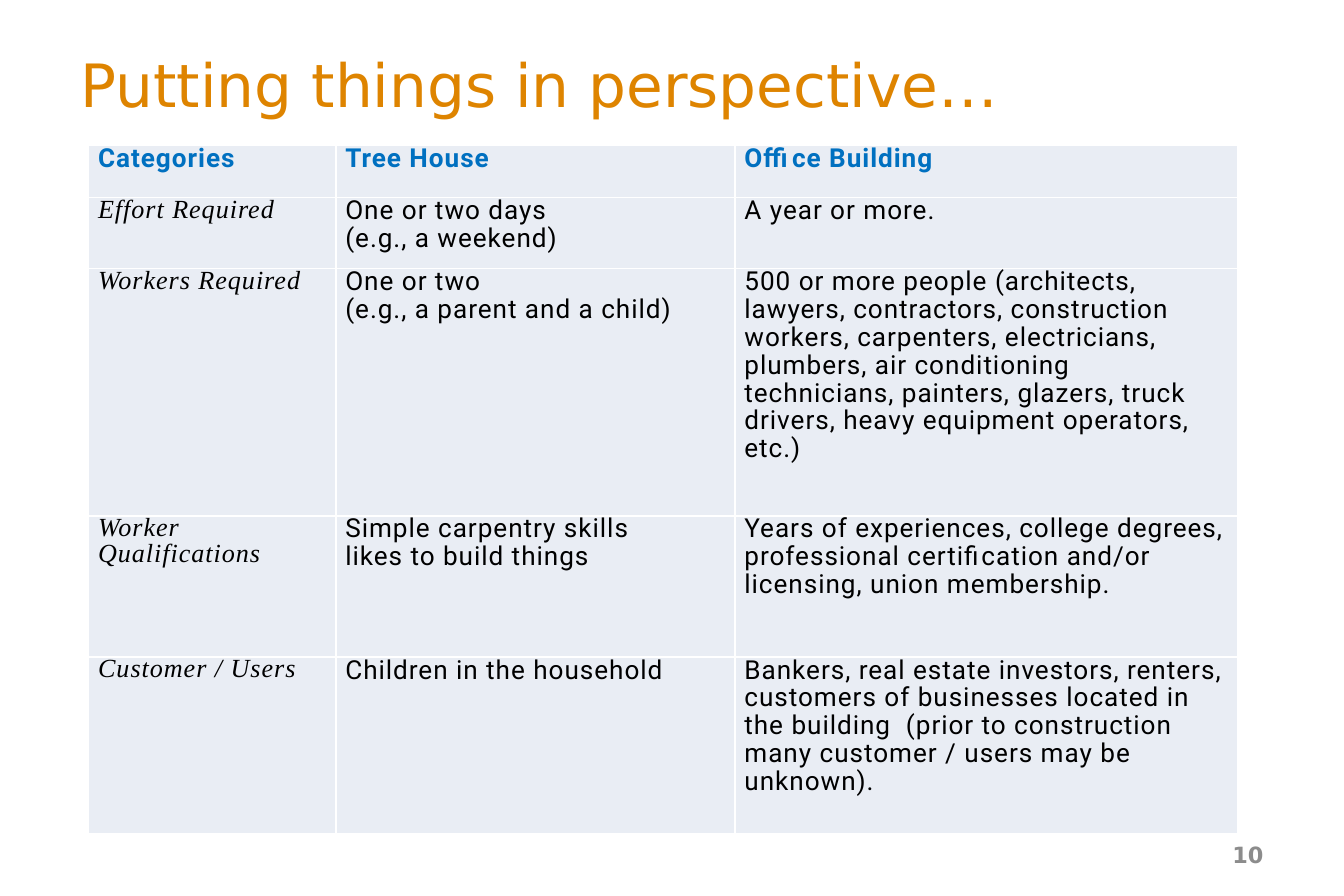
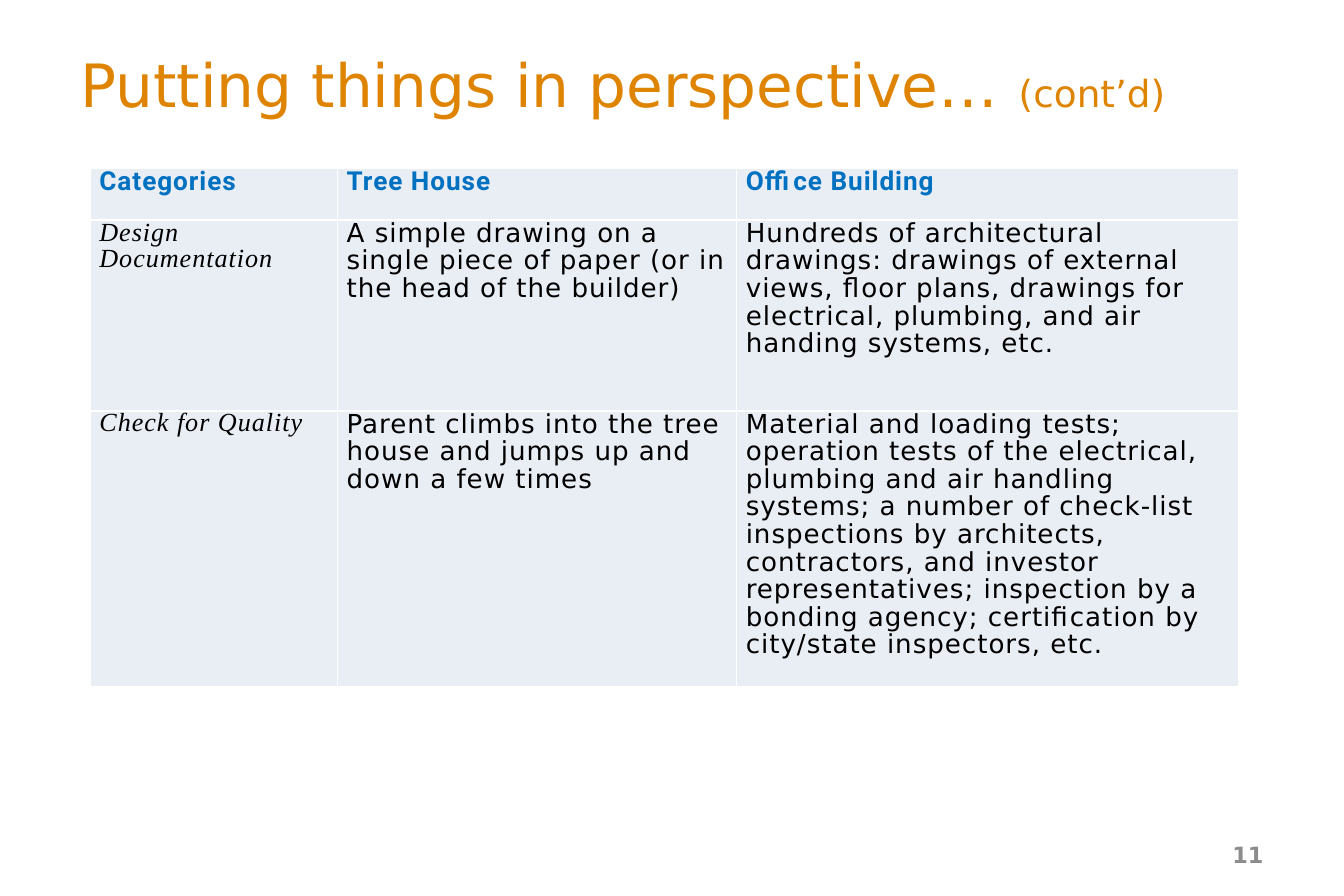
import copy

import lxml.etree
import pptx
import pptx.dml.color
import pptx.enum.text
import pptx.oxml
import pptx.oxml.ns
import pptx.util

Inches = pptx.util.Inches
Align = pptx.enum.text.PP_ALIGN
Anchor = pptx.enum.text.MSO_ANCHOR

# Content: a list in a cell holds paragraphs, a newline is a line break
HEADINGS = ("Categories", "Tree House", "Office Building")
TITLE = "Putting things in perspective…"
SLIDES = [
    {
        "number": "10", "suffix": "", "left": 0.66, "top": 1.08, "body_font": "Roboto",
        "heights": (0.39, 0.53, 1.84, 1.05, 1.32),
        "rows": [
            ("Effort Required", "One or two days \n(e.g., a weekend)", "A year or more."),
            ("Workers Required", "One or two \n(e.g., a parent and a child) ",
             "500 or more people (architects, lawyers, contractors, construction workers, "
             "carpenters, electricians, plumbers, air conditioning technicians, painters, "
             "glazers, truck drivers, heavy equipment operators, etc.)"),
            ("Worker Qualifications", ["Simple carpentry skills", "likes to build things"],
             "Years of experiences, college degrees, professional certification and/or "
             "licensing, union membership."),
            ("Customer / Users", "Children in the household",
             "Bankers, real estate investors, renters, customers of businesses located in "
             "the building  (prior to construction many customer / users may be unknown)."),
        ],
    },
    {
        "number": "11", "suffix": "(cont’d)", "left": 0.67, "top": 1.25,
        "body_font": "DejaVu Sans", "heights": (0.39, 1.42, 2.05),
        "rows": [
            ("Design Documentation",
             "A simple drawing on a single piece of paper (or in the head of the builder)",
             "Hundreds of architectural drawings: drawings of external views, floor plans, "
             "drawings for electrical, plumbing, and air handing systems, etc."),
            ("Check for Quality",
             "Parent climbs into the tree house and jumps up and down a few times",
             "Material and loading tests; operation tests of the electrical, plumbing and "
             "air handling systems; a number of check-list inspections by architects, "
             "contractors, and investor representatives; inspection by a bonding agency; "
             "certification by city/state inspectors, etc."),
        ],
    },
]

# Shared look
COLORS = {"title": "DE8400", "number": "8C8C8C", "heading": "0070C0",
          "text": "000000", "cell": "E9EDF4", "border": "FFFFFF"}
COLUMNS = (1.84, 2.97, 3.74)
SANS = "DejaVu Sans"


def rgb(name):
    return pptx.dml.color.RGBColor.from_string(COLORS[name])


def write(para, text, *, size, color, font=SANS, bold=False, italic=False,
          align=Align.LEFT, line=None, spacing=0):
    """Append formatted text to a paragraph, newlines becoming line breaks."""
    para.alignment = align
    if line:
        para.line_spacing = line
    for index, part in enumerate(text.split("\n")):
        if index:
            para.add_line_break()
            line_break = para._p[-1]
        span = para.add_run()
        span.text = part
        span.font.name = font
        span.font.size = pptx.util.Pt(size)
        span.font.bold = bold
        span.font.italic = italic
        span.font.color.rgb = rgb(color)
        properties = span._r.get_or_add_rPr()
        if spacing:
            properties.set("spc", str(int(spacing * 100)))
        if index:
            line_break.append(copy.deepcopy(properties))


def add_borders(cell):
    properties = cell._tc.get_or_add_tcPr()
    for index, side in enumerate(("lnL", "lnR", "lnT", "lnB")):
        properties.insert(index, pptx.oxml.parse_xml(
            f'<a:{side} {pptx.oxml.ns.nsdecls("a")} w="12700"><a:solidFill>'
            f'<a:srgbClr val="{COLORS["border"]}"/></a:solidFill></a:{side}>'))


def fill_cell(cell, content, **style):
    cell.margin_left = cell.margin_right = Inches(0.07)
    cell.margin_top = cell.margin_bottom = 0
    cell.fill.solid()
    cell.fill.fore_color.rgb = rgb("cell")
    add_borders(cell)
    paragraphs = content if isinstance(content, list) else [content]
    for index, text in enumerate(paragraphs):
        para = cell.text_frame.add_paragraph() if index else cell.text_frame.paragraphs[0]
        write(para, text, size=14, line=0.9, spacing=0.5, **style)


def add_title(page, suffix):
    title = page.shapes.title
    title.left, title.top, title.width, title.height = map(Inches, (0.5, 0.27, 9, 0.7))
    title.text_frame.vertical_anchor = Anchor.MIDDLE
    para = title.text_frame.paragraphs[0]
    write(para, TITLE + (" " if suffix else ""), size=32, color="title")
    if suffix:
        write(para, suffix, size=20, color="title")


def add_number(page, number):
    box = page.shapes.add_textbox(*map(Inches, (7.17, 6.18, 2.33, 0.36)))
    box.text_frame.word_wrap = True
    box.text_frame.vertical_anchor = Anchor.MIDDLE
    write(box.text_frame.paragraphs[0], number, size=12, color="number",
          bold=True, align=Align.RIGHT)


def add_comparison(page, content):
    rows = [HEADINGS] + content["rows"]
    heights = content["heights"]
    table = page.shapes.add_table(
        len(rows), len(COLUMNS), Inches(content["left"]), Inches(content["top"]),
        Inches(sum(COLUMNS)), Inches(sum(heights))).table
    table.first_row = table.horz_banding = False
    for column, width in zip(table.columns, COLUMNS):
        column.width = Inches(width)
    for row, height in zip(table.rows, heights):
        row.height = Inches(height)

    heading = {"font": "Roboto", "color": "heading", "bold": True}
    category = {"font": "Times New Roman", "color": "text", "italic": True}
    body = {"font": content["body_font"], "color": "text"}
    for r, row in enumerate(rows):
        for c, text in enumerate(row):
            style = heading if r == 0 else category if c == 0 else body
            fill_cell(table.cell(r, c), text, **style)


# Build the deck
deck = pptx.Presentation()
deck.slide_width, deck.slide_height = Inches(10), Inches(6.67)
for content in SLIDES:
    page = deck.slides.add_slide(deck.slide_layouts[5])
    add_title(page, content["suffix"])
    add_number(page, content["number"])
    add_comparison(page, content)
deck.save("out.pptx")
